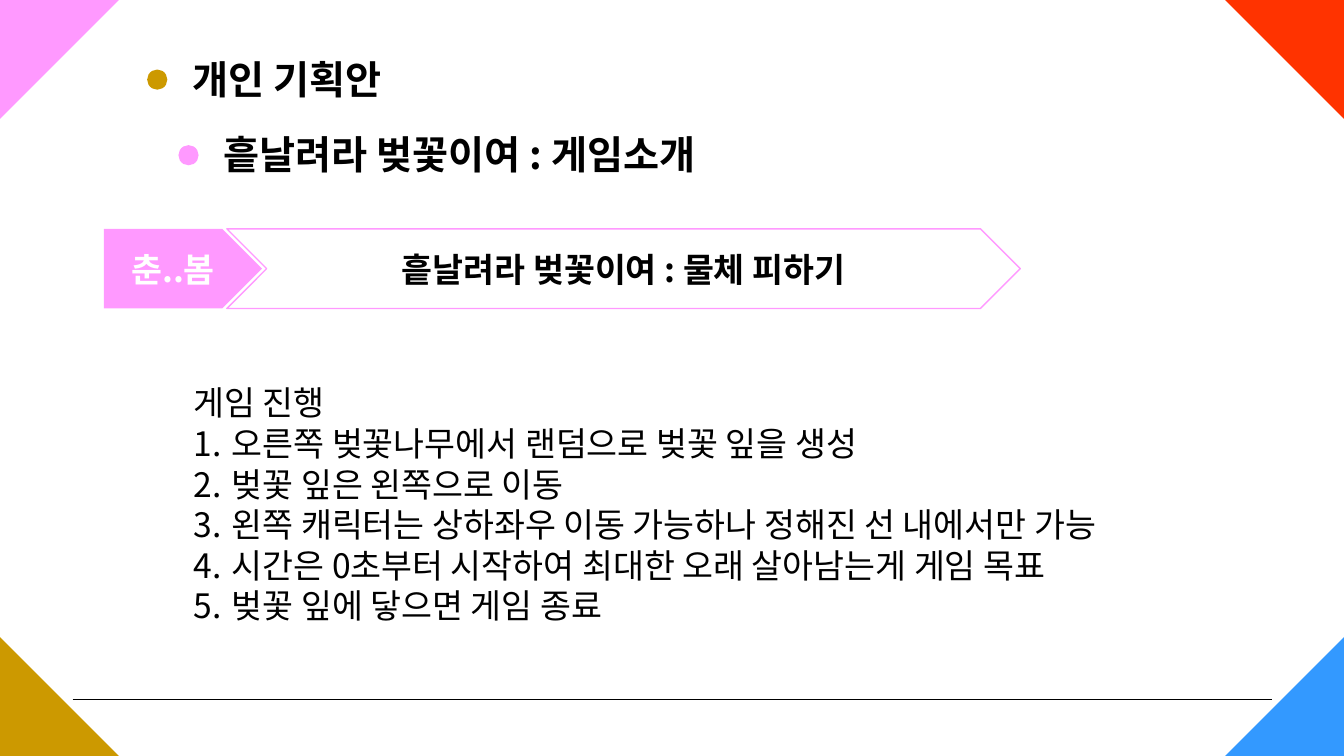
from lxml import etree
from pptx import Presentation
from pptx.dml.color import RGBColor
from pptx.enum import shapes, text
from pptx.oxml.ns import qn
from pptx.util import Inches, Pt

FONT = "Noto Sans CJK KR"
PINK, GOLD, RED, BLUE = "FF99FF", "CC9900", "FF3300", "3399FF"
BLACK, WHITE = "000000", "FFFFFF"
WIDTH, HEIGHT = 13.33, 7.5
CORNER = 1.18

STEPS = [
    "오른쪽 벚꽃나무에서 랜덤으로 벚꽃 잎을 생성",
    "벚꽃 잎은 왼쪽으로 이동",
    "왼쪽 캐릭터는 상하좌우 이동 가능하나 정해진 선 내에서만 가능",
    "시간은 0초부터 시작하여 최대한 오래 살아남는게 게임 목표",
    "벚꽃 잎에 닿으면 게임 종료",
]


def color(hex_string):
    return RGBColor.from_string(hex_string)


def write(paragraph, words, size=24, ink=BLACK, bold=False, align=text.PP_ALIGN.LEFT):
    paragraph.alignment = align
    paragraph.line_spacing = Pt(round(size * 1.2))
    run = paragraph.add_run()
    run.text = words
    font = run.font
    font.name, font.size, font.bold = FONT, Pt(size), bold
    font.color.rgb = color(ink)
    east_asian = etree.SubElement(run._r.get_or_add_rPr(), qn("a:ea"))
    east_asian.set("typeface", FONT)


def number(paragraph):
    """Give the paragraph an automatic number with a hanging indent."""
    props = paragraph._p.get_or_add_pPr()
    props.set("marL", str(Inches(0.38)))
    props.set("indent", str(-Inches(0.38)))
    etree.SubElement(props, qn("a:buFont")).set("typeface", FONT)
    etree.SubElement(props, qn("a:buAutoNum")).set("type", "arabicPeriod")


class Page:
    """Holds the slide and draws its elements in one style."""

    def __init__(self, slide):
        self.slide = slide

    def shape(self, kind, left, top, width, height, fill, line=None, rotation=0):
        shape = self.slide.shapes.add_shape(
            kind, Inches(left), Inches(top), Inches(width), Inches(height))
        shape.shadow.inherit = False
        shape.rotation = rotation
        shape.fill.solid()
        shape.fill.fore_color.rgb = color(fill)
        if line:
            shape.line.color.rgb = color(line)
            shape.line.width = Pt(1)
        else:
            shape.line.fill.background()
        return shape

    def banner(self, kind, left, width, words, fill, ink, line=None):
        shape = self.shape(kind, left, 2.27, width, 0.79, fill, line)
        shape.text_frame.vertical_anchor = text.MSO_ANCHOR.MIDDLE
        write(shape.text_frame.paragraphs[0], words, ink=ink, bold=True,
              align=text.PP_ALIGN.CENTER)

    def frame(self, box, left, top, width, height):
        """Place a text holder and return its prepared text frame."""
        box.left, box.top = Inches(left), Inches(top)
        box.width, box.height = Inches(width), Inches(height)
        frame = box.text_frame
        frame.word_wrap = True
        frame.auto_size = text.MSO_AUTO_SIZE.SHAPE_TO_FIT_TEXT
        frame.vertical_anchor = text.MSO_ANCHOR.TOP
        return frame

    def text_box(self, left, top, width, height):
        box = self.slide.shapes.add_textbox(0, 0, 0, 0)
        return self.frame(box, left, top, width, height)

    def heading(self, left, top, words, dot, holder=None):
        """Write a heading line with a coloured dot before it."""
        self.shape(shapes.MSO_SHAPE.OVAL, left - 0.35, top + 0.2, 0.2, 0.2, dot)
        place = (left, top, 6.28, 0.57)
        frame = self.frame(holder, *place) if holder else self.text_box(*place)
        write(frame.paragraphs[0], words, size=28, bold=True)

    def rule(self, left, right, y):
        line = self.slide.shapes.add_connector(
            shapes.MSO_CONNECTOR.STRAIGHT, Inches(left), Inches(y), Inches(right), Inches(y))
        line.line.color.rgb = color(BLACK)
        line.line.width = Pt(0.5)
        etree.SubElement(line._element.spPr, qn("a:effectLst"))


def main():
    deck = Presentation()
    deck.slide_width, deck.slide_height = Inches(WIDTH), Inches(HEIGHT)
    slide = deck.slides.add_slide(deck.slide_layouts[5])
    page = Page(slide)

    page.heading(1.81, 0.49, "개인 기획안", GOLD, slide.shapes.title)

    right, bottom = WIDTH - CORNER, HEIGHT - CORNER
    corners = [(0, bottom, GOLD), (0, 0, PINK), (right, 0, RED), (right, bottom, BLUE)]
    for turn, (left, top, fill) in enumerate(corners):
        page.shape(shapes.MSO_SHAPE.RIGHT_TRIANGLE, left, top, CORNER, CORNER, fill,
                   rotation=90 * turn)
    page.rule(0.72, 12.62, 6.94)

    page.heading(2.12, 1.24, "흩날려라 벚꽃이여 : 게임소개", PINK)
    page.banner(shapes.MSO_SHAPE.PENTAGON, 1.03, 1.57, "춘..봄", PINK, WHITE)
    page.banner(shapes.MSO_SHAPE.CHEVRON, 2.25, 7.87, "흩날려라 벚꽃이여 : 물체 피하기",
                WHITE, BLACK, PINK)

    rules = page.text_box(1.82, 3.74, 10.49, 2.52)
    write(rules.paragraphs[0], "게임 진행")
    for step in STEPS:
        paragraph = rules.add_paragraph()
        write(paragraph, step)
        number(paragraph)

    deck.save("out.pptx")


if __name__ == "__main__":
    main()
